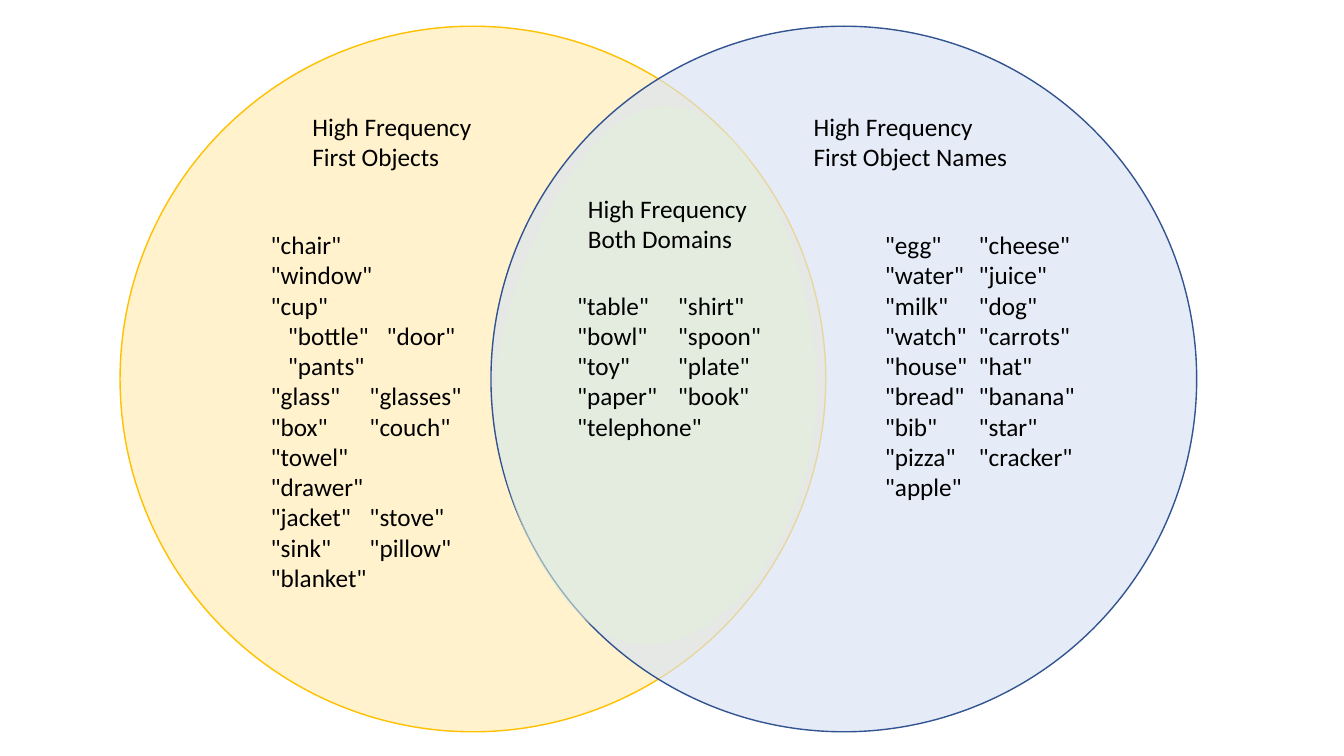
from typing import NamedTuple

from lxml.etree import SubElement
from pptx import Presentation
from pptx.dml.color import RGBColor
from pptx.enum.shapes import MSO_SHAPE
from pptx.oxml.ns import qn
from pptx.util import Inches, Pt

SLIDE_WIDTH, SLIDE_HEIGHT = 13.33, 7.5
FONT, TEXT_SIZE, TEXT_COLOR = "Calibri", 18, "000000"
ROW_INDENT = 0.17
CURVE_STEPS = 24

FIRST_OBJECTS = [
    ["chair"], ["window", "cup"], ["bottle", "door"], ["pants"],
    ["glass", "glasses"], ["box", "couch"], ["towel"], ["drawer"],
    ["jacket", "stove"], ["sink", "pillow"], ["blanket"],
]
INDENTED_OBJECT_ROWS = (2, 3)
BOTH_DOMAINS = [
    ["table", "shirt"], ["bowl", "spoon"], ["toy", "plate"],
    ["paper", "book"], ["telephone"],
]
OBJECT_NAMES = [
    ["egg", "cheese"], ["water", "juice"], ["milk", "dog"],
    ["watch", "carrots"], ["house", "hat"], ["bread", "banana"],
    ["bib", "star"], ["pizza", "cracker"], ["apple"],
]
LENS_START = (0, 0.53)
LENS_CURVES = [
    [(0.01, 0.36), (0.25, 0), (0.53, 0)],
    [(0.8, 0), (1, 0.3), (1, 0.53)],
    [(1, 0.76), (0.75, 1), (0.47, 1)],
    [(0.19, 1), (-0.01, 0.7), (0, 0.53)],
]


class Box(NamedTuple):
    """A rectangle in inches."""
    left: float
    top: float
    width: float
    height: float

    def inner(self, left, top, width, height):
        """Return the box lying at the given percentages of this one."""
        return Box(self.left + left * self.width / 100,
                   self.top + top * self.height / 100,
                   width * self.width / 100, height * self.height / 100)

    def lengths(self):
        """Return the four lengths for python-pptx."""
        return [Inches(value) for value in self]


def color(hex_string):
    """Turn a hex string into a colour."""
    return RGBColor.from_string(hex_string)


def paint(shape, fill, opacity=100, line=None):
    """Set fill, opacity in percent and outline of a shape."""
    shape.shadow.inherit = False
    shape.fill.solid()
    shape.fill.fore_color.rgb = color(fill)
    if opacity < 100:
        tone = shape.element.spPr.find(qn("a:solidFill"))[0]
        SubElement(tone, qn("a:alpha"), val=str(opacity * 1000))
    if line:
        shape.line.color.rgb = color(line)
        shape.line.width = Pt(1)
    else:
        shape.line.fill.background()


def add_circle(slide, box, fill, line, opacity=100):
    """Add one circle of the diagram."""
    circle = slide.shapes.add_shape(MSO_SHAPE.OVAL, *box.lengths())
    paint(circle, fill, opacity, line)


def curve_points(start, first, second, end):
    """Sample a cubic curve after its start."""
    for step in range(1, CURVE_STEPS + 1):
        t = step / CURVE_STEPS
        weights = ((1 - t) ** 3, 3 * t * (1 - t) ** 2, 3 * t ** 2 * (1 - t), t ** 3)
        yield tuple(sum(weight * point[axis] for weight, point
                        in zip(weights, (start, first, second, end)))
                    for axis in (0, 1))


def add_lens(slide, box, fill, opacity):
    """Add the overlap of the two circles."""
    points = [LENS_START]
    for curve in LENS_CURVES:
        points.extend(curve_points(points[-1], *curve))
    corners = [(Inches(box.left + x * box.width), Inches(box.top + y * box.height))
               for x, y in points]
    builder = slide.shapes.build_freeform(*corners[0])
    builder.add_line_segments(corners[1:], close=True)
    paint(builder.convert_to_shape(), fill, opacity)


def add_text(slide, box, lines, tab=None, indented=()):
    """Add a text box with one paragraph per line."""
    frame = slide.shapes.add_textbox(*box.lengths()).text_frame
    frame.word_wrap = True
    for index, line in enumerate(lines):
        paragraph = frame.paragraphs[0] if index == 0 else frame.add_paragraph()
        properties = paragraph._p.get_or_add_pPr()
        if index in indented:
            properties.set("marL", str(Inches(ROW_INDENT)))
        if tab:
            stops = SubElement(properties, qn("a:tabLst"))
            SubElement(stops, qn("a:tab"), pos=str(Inches(tab)), algn="l")
        run = paragraph.add_run()
        run.text = line
        run.font.name = FONT
        run.font.size = Pt(TEXT_SIZE)
        run.font.color.rgb = color(TEXT_COLOR)


def add_word_list(slide, box, rows, tab, indented=()):
    """Add quoted words in two columns."""
    lines = ["\t".join(f'"{word}"' for word in row) for row in rows]
    add_text(slide, box, lines, tab, indented)


def add_venn_diagram(slide, box):
    """Add circles, overlap, headings and word lists."""
    add_circle(slide, box.inner(8.93, 3.47, 52.51, 93.33), "FFF2CC", "FFC000")
    add_circle(slide, box.inner(36.53, 3.47, 52.51, 93.33), "DAE3F3", "325491", 66)
    add_lens(slide, box.inner(36.76, 14, 24, 71.3), "E2F0D9", 58)
    add_word_list(slide, box.inner(42.2, 37.7, 20.5, 21.6), BOTH_DOMAINS, 1)
    add_word_list(slide, box.inner(19.4, 29.7, 16.5, 41.7), FIRST_OBJECTS, 0.98,
                  INDENTED_OBJECT_ROWS)
    add_word_list(slide, box.inner(65.1, 29.7, 17, 37.7), OBJECT_NAMES, 0.93)
    add_text(slide, box.inner(22.5, 14.1, 13.6, 9.5),
             ["High Frequency", "First Objects"])
    add_text(slide, box.inner(59.8, 14.1, 16.9, 9.5),
             ["High Frequency", "First Object Names"])
    add_text(slide, box.inner(43, 24.9, 13.6, 9.5),
             ["High Frequency", "Both Domains"])


def main():
    """Build and save the presentation."""
    presentation = Presentation()
    presentation.slide_width = Inches(SLIDE_WIDTH)
    presentation.slide_height = Inches(SLIDE_HEIGHT)
    slide = presentation.slides.add_slide(presentation.slide_layouts[6])
    add_venn_diagram(slide, Box(0, 0, SLIDE_WIDTH, SLIDE_HEIGHT))
    presentation.save("out.pptx")


if __name__ == "__main__":
    main()
